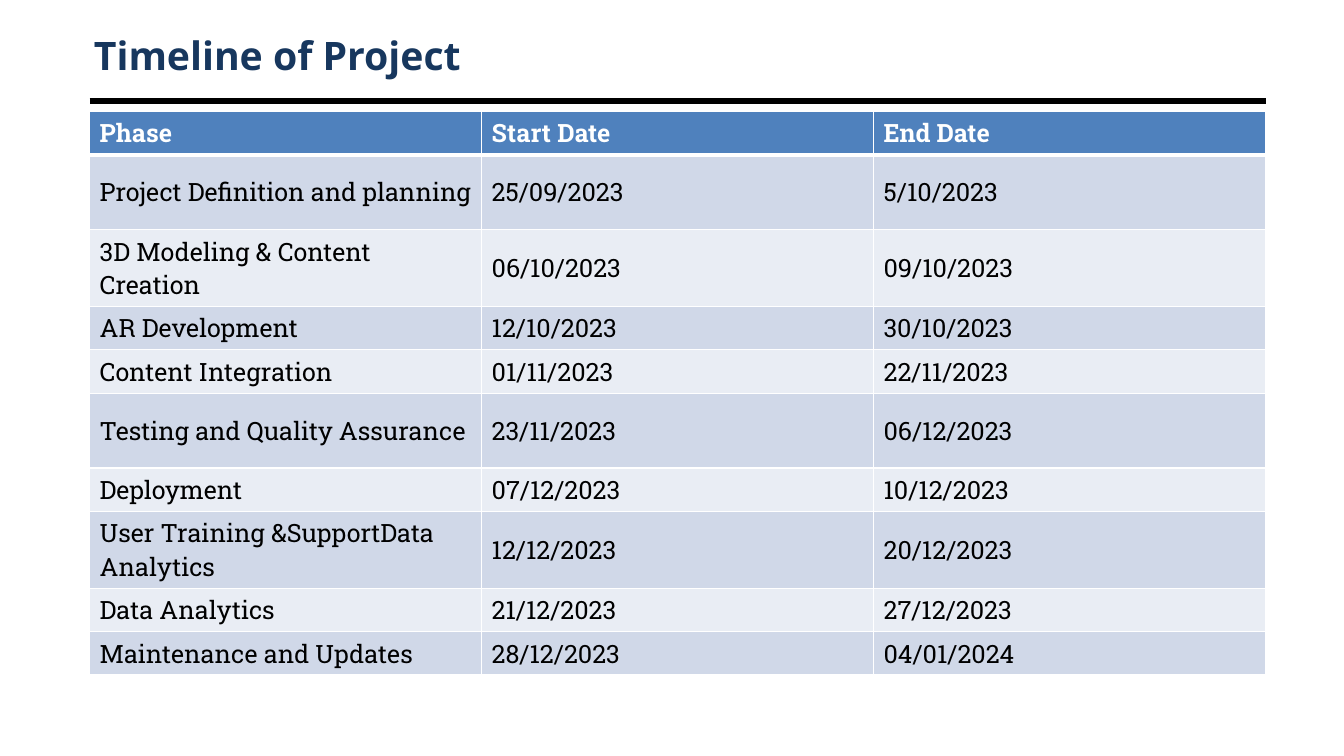
from lxml.etree import SubElement
from pptx import Presentation
from pptx.dml.color import RGBColor
from pptx.enum.shapes import MSO_CONNECTOR
from pptx.enum.text import MSO_ANCHOR
from pptx.oxml.ns import qn
from pptx.util import Pt

PHASES = [
    ("Phase", "Start Date", "End Date"),
    ("Project Definition and planning", "25/09/2023", "5/10/2023"),
    ("3D Modeling & Content Creation", "06/10/2023", "09/10/2023"),
    ("AR Development", "12/10/2023", "30/10/2023"),
    ("Content Integration", "01/11/2023", "22/11/2023"),
    ("Testing and Quality Assurance", "23/11/2023", "06/12/2023"),
    ("Deployment", "07/12/2023", "10/12/2023"),
    ("User Training &SupportData Analytics", "12/12/2023", "20/12/2023"),
    ("Data Analytics", "21/12/2023", "27/12/2023"),
    ("Maintenance and Updates", "28/12/2023", "04/01/2024"),
]
TALL_ROWS = {1, 2, 5, 7}


def color(value):
    return RGBColor.from_string(value)


def write_text(frame, text, font, size, fill, bold=False, anchor=MSO_ANCHOR.MIDDLE):
    frame.word_wrap = True
    frame.vertical_anchor = anchor
    run = frame.paragraphs[0].add_run()
    run.text = text
    run.font.name = font
    run.font.size = Pt(size)
    run.font.bold = bold
    run.font.color.rgb = color(fill)


class TimelineSlide:
    """Holds the slide and its style, and draws each kind of element."""

    title_font, table_font = "Open Sans", "Roboto Slab"
    title_color, header_fill = "17375E", "4F81BD"
    band_fills = ("E9EDF4", "D0D8E8")
    row_height, tall_height = 31, 53.5

    def __init__(self, presentation):
        self.slide = presentation.slides.add_slide(presentation.slide_layouts[6])

    def rule(self, left, top, width, weight):
        line = self.slide.shapes.add_connector(
            MSO_CONNECTOR.STRAIGHT, Pt(left), Pt(top), Pt(left + width), Pt(top))
        line.line.color.rgb = color("000000")
        line.line.width = Pt(weight)
        SubElement(line._element.spPr, qn("a:effectLst"))

    def title(self, text, left, top, width, height):
        box = self.slide.shapes.add_textbox(Pt(left), Pt(top), Pt(width), Pt(height))
        write_text(box.text_frame, text, self.title_font, 28, self.title_color, bold=True)

    def borders(self, cell, bottom):
        properties = cell._tc.get_or_add_tcPr()
        for side, weight in (("L", 1), ("R", 1), ("T", 1), ("B", bottom)):
            border = SubElement(properties, qn(f"a:ln{side}"), w=str(Pt(weight)))
            solid = SubElement(border, qn("a:solidFill"))
            SubElement(solid, qn("a:srgbClr"), val="FFFFFF")

    def table(self, rows, left, top, width):
        heights = [self.tall_height if index in TALL_ROWS else self.row_height
                   for index in range(len(rows))]
        columns = len(rows[0])
        table = self.slide.shapes.add_table(
            len(rows), columns, Pt(left), Pt(top), Pt(width), Pt(sum(heights))).table
        for column in table.columns:
            column.width = Pt(width / columns)
        for index, (values, height) in enumerate(zip(rows, heights)):
            header = index == 0
            table.rows[index].height = Pt(height)
            for position, text in enumerate(values):
                cell = table.cell(index, position)
                self.borders(cell, 3 if header or False else 1)
                cell.fill.solid()
                cell.fill.fore_color.rgb = color(
                    self.header_fill if header else self.band_fills[index % 2])
                anchor = MSO_ANCHOR.BOTTOM if header else MSO_ANCHOR.MIDDLE
                cell.vertical_anchor = anchor
                write_text(cell.text_frame, text, self.table_font, 18,
                           "FFFFFF" if header else "000000", bold=header, anchor=anchor)


def main():
    presentation = Presentation()
    presentation.slide_width, presentation.slide_height = Pt(960), Pt(540)
    slide = TimelineSlide(presentation)
    slide.rule(64, 72, 840, 4.5)
    slide.table(PHASES, 64, 79.5, 840)
    slide.title("Timeline of Project", 60, 0, 840, 79)
    presentation.save("out.pptx")


if __name__ == "__main__":
    main()
